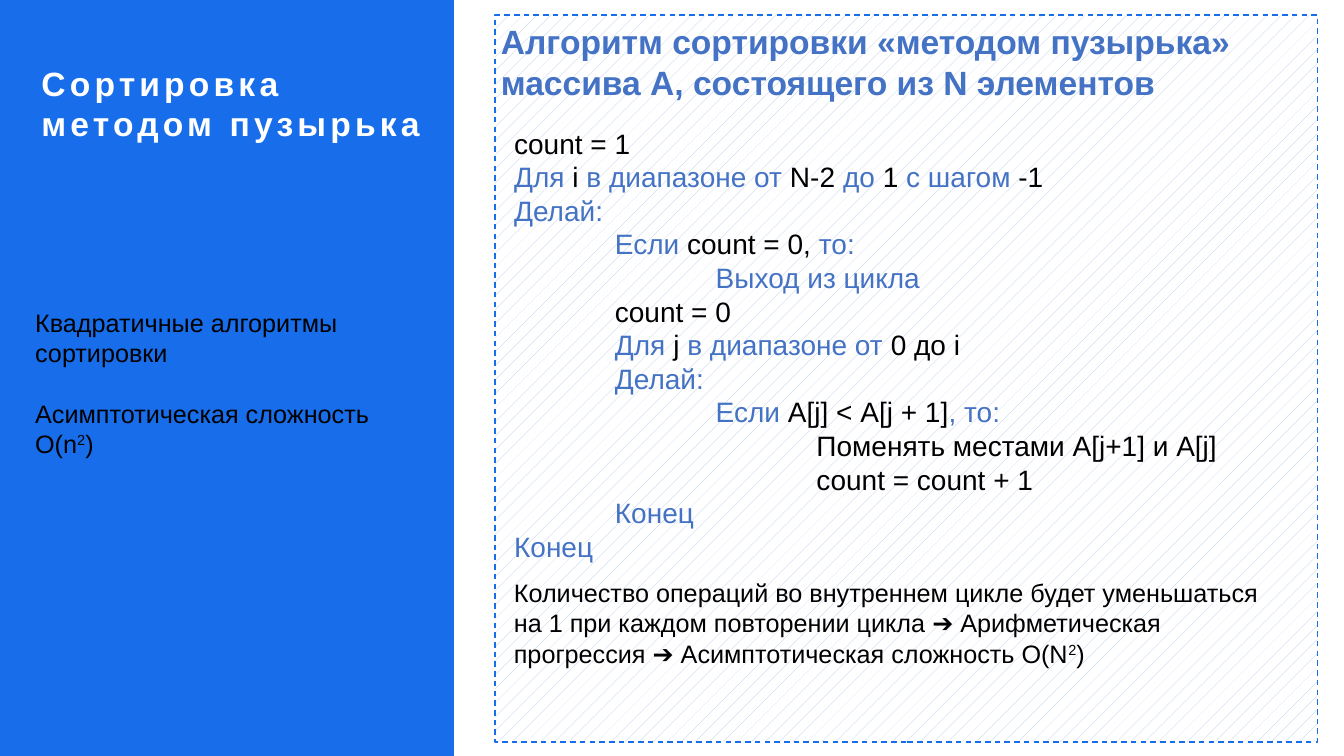
"""Builds a slide explaining bubble sort with its pseudocode."""
from dataclasses import dataclass

from lxml import etree
from pptx import Presentation
from pptx.dml.color import RGBColor
from pptx.enum.dml import MSO_LINE, MSO_PATTERN
from pptx.enum.shapes import MSO_SHAPE
from pptx.enum.text import MSO_ANCHOR, MSO_AUTO_SIZE, PP_ALIGN
from pptx.oxml.ns import qn
from pptx.util import Emu, Inches, Pt

PARALLELOGRAM, RECTANGLE = MSO_SHAPE.PARALLELOGRAM, MSO_SHAPE.RECTANGLE
DOTS, DASH = MSO_PATTERN.PERCENT_5, MSO_LINE.DASH
TOP, LEFT = MSO_ANCHOR.TOP, PP_ALIGN.LEFT
GROW = MSO_AUTO_SIZE.SHAPE_TO_FIT_TEXT

BLUE = RGBColor(0x17, 0x6D, 0xEA)
KEYWORD = RGBColor(0x44, 0x72, 0xC4)
HATCH = RGBColor(0xB4, 0xC7, 0xE7)
WHITE = RGBColor(0xFF, 0xFF, 0xFF)
BLACK = RGBColor(0x00, 0x00, 0x00)

FONT = "Arial"
WIDTH, HEIGHT = Inches(13.333), Inches(7.5)
INDENT = Inches(1)


@dataclass(frozen=True)
class Box:
    """Place on the slide, in percent of its width and height."""
    left: float
    top: float
    width: float
    height: float

    def emu(self) -> tuple:
        """Return left, top, width and height as lengths."""
        return (Emu(int(WIDTH * self.left / 100)), Emu(int(HEIGHT * self.top / 100)),
                Emu(int(WIDTH * self.width / 100)), Emu(int(HEIGHT * self.height / 100)))


@dataclass(frozen=True)
class Run:
    """Piece of text in one colour, possibly raised."""
    text: str
    color: RGBColor = BLACK
    raised: bool = False


@dataclass(frozen=True)
class Line:
    """Paragraph with its indent level and the gap above it in points."""
    runs: tuple
    level: int = 0
    before: float = 0


@dataclass(frozen=True)
class Style:
    """Look of all the text in one box."""
    size: int
    bold: bool = False
    spacing: int = 0
    inset: float = None


def key(text: str) -> Run:
    """Return a run in the keyword colour."""
    return Run(text, KEYWORD)


SIDE = Box(0, 0, 33.75, 100.53)
FRAME = Box(36.83, 2, 61.2, 96.13)
TITLE = Box(3.08, 8.27, 30.68, 10.8)
NOTES = Box(1.88, 40, 30.68, 21.6)
HEADING = Box(36.53, 2.13, 59.48, 12.13)
CODE = Box(37.5, 16, 60.6, 59.73)
CONCLUSION = Box(37.5, 75.73, 57.75, 17.47)

TITLE_LINES = (Line((Run("Сортировка методом пузырька", WHITE),)),)
HEADING_LINES = (
    Line((key("Алгоритм сортировки «методом пузырька» массива А, состоящего из N элементов"),)),
)
NOTES_LINES = (
    Line((Run("Квадратичные алгоритмы сортировки"),)),
    Line((Run("Асимптотическая сложность O(n"), Run("2", raised=True), Run(")")), before=21.6),
)
CODE_LINES = (
    Line((Run("count = 1"),)),
    Line((key("Для "), Run("i "), key("в диапазоне от "), Run("N-2 "), key("до "),
          Run("1 "), key("c шагом "), Run("-1"))),
    Line((key("Делай:"),)),
    Line((key("Если "), Run("count = 0, "), key("то:")), 1),
    Line((key("Выход из цикла"),), 2),
    Line((Run("count = 0"),), 1),
    Line((key("Для "), Run("j "), key("в диапазоне от"), Run(" 0 до i")), 1),
    Line((key("Делай:"),), 1),
    Line((key("Если"), Run(" А[j] < A[j + 1]"), key(", то:")), 2),
    Line((Run("Поменять местами A[j+1] и A[j]"),), 3),
    Line((Run("count = count + 1"),), 3),
    Line((key("Конец"),), 1),
    Line((key("Конец"),)),
)
CONCLUSION_LINES = (
    Line((Run("Количество операций во внутреннем цикле будет уменьшаться на 1 при каждом "
              "повторении цикла ➔ Арифметическая прогрессия ➔ Асимптотическая сложность O(N"),
          Run("2", raised=True), Run(")"))),
)


def add_panel(s, kind: int, box: Box):
    """Add a shape without shadow behind the title and return it."""
    sp = s.shapes.add_shape(kind, *box.emu())
    sp.shadow.inherit = False
    s.shapes.title.element.addprevious(sp.element)
    return sp


def write(sp, box: Box, lines: tuple, style: Style) -> None:
    """Place a text shape and fill it run by run."""
    sp.left, sp.top, sp.width, sp.height = box.emu()
    tf = sp.text_frame
    tf.word_wrap, tf.auto_size, tf.vertical_anchor = True, GROW, TOP
    if style.inset is not None:
        tf.margin_left = tf.margin_right = tf.margin_top = tf.margin_bottom = Inches(style.inset)
    for i, line in enumerate(lines):
        p = tf.add_paragraph() if i else tf.paragraphs[0]
        p.alignment, p.space_before = LEFT, Pt(line.before)
        pPr = p._p.get_or_add_pPr()
        pPr.set("marL", str(line.level * INDENT))
        pPr.set("indent", "0")
        etree.SubElement(pPr, qn("a:buNone"))
        for run in line.runs:
            r = p.add_run()
            r.text = run.text
            r.font.name, r.font.size, r.font.bold = FONT, Pt(style.size), style.bold
            r.font.color.rgb = run.color
            rPr = r._r.get_or_add_rPr()
            if style.spacing:
                rPr.set("spc", str(style.spacing * 100))
            if run.raised:
                rPr.set("baseline", "30000")


def main() -> None:
    """Build the slide and save it."""
    prs = Presentation()
    prs.slide_width, prs.slide_height = WIDTH, HEIGHT
    s = prs.slides.add_slide(prs.slide_layouts[1])

    side = add_panel(s, PARALLELOGRAM, SIDE)
    side.adjustments[0] = 0
    side.fill.solid()
    side.fill.fore_color.rgb = BLUE
    side.line.fill.background()

    frame = add_panel(s, RECTANGLE, FRAME)
    frame.fill.patterned()
    frame.fill.pattern = DOTS
    frame.fill.fore_color.rgb, frame.fill.back_color.rgb = HATCH, WHITE
    frame.line.color.rgb = BLUE
    frame.line.width, frame.line.dash_style = Pt(1), DASH

    write(s.shapes.title, TITLE, TITLE_LINES, Style(24, bold=True, spacing=3, inset=0))
    write(s.placeholders[1], CODE, CODE_LINES, Style(20))
    for box, lines, style in ((NOTES, NOTES_LINES, Style(18)),
                              (HEADING, HEADING_LINES, Style(24, bold=True)),
                              (CONCLUSION, CONCLUSION_LINES, Style(18))):
        write(s.shapes.add_textbox(*box.emu()), box, lines, style)

    prs.save("out.pptx")


if __name__ == "__main__":
    main()
